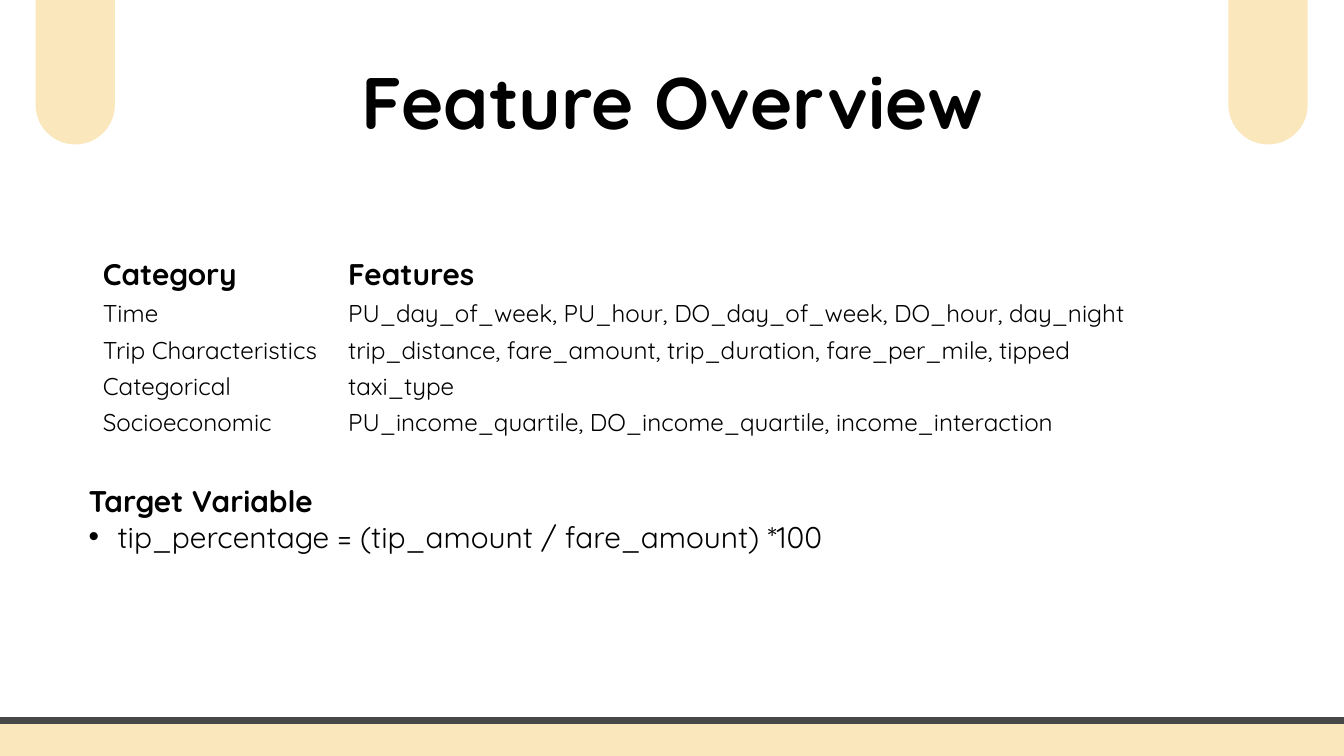
from typing import NamedTuple

from lxml import etree
from pptx import Presentation
from pptx import util as u
from pptx.dml.color import RGBColor
from pptx.enum import shapes, text
from pptx.oxml.ns import qn

BLACK = RGBColor(0x00, 0x00, 0x00)
CREAM = RGBColor(0xFA, 0xE7, 0xBC)
CHARCOAL = RGBColor(0x49, 0x48, 0x48)
FONT = "Quicksand"


class Box(NamedTuple):
    left: float
    top: float
    width: float
    height: float

    def lengths(self) -> list:
        return [u.Inches(value) for value in self]


class FeatureRow(NamedTuple):
    category: str
    features: str


PILLS = [Box(left, -1.08, 1.18, 3.23) for left in (18.28, 0.53)]
FOOTER = Box(-0.58, 10.72, 21.16, 0.9)
HEADER = FeatureRow("Category", "Features")
FEATURE_ROWS = [
    FeatureRow("Time", "PU_day_of_week, PU_hour, DO_day_of_week, DO_hour, day_night"),
    FeatureRow("Trip Characteristics",
               "trip_distance, fare_amount, trip_duration, fare_per_mile, tipped"),
    FeatureRow("Categorical", "taxi_type"),
    FeatureRow("Socioeconomic", "PU_income_quartile, DO_income_quartile, income_interaction"),
]
COLUMN_WIDTHS = (3.65, 12.5)
HEADER_HEIGHT, ROW_HEIGHT = 0.63, 0.54


def add_run(paragraph, words: str, size: float, bold: bool = False) -> None:
    run = paragraph.add_run()
    run.text = words
    run.font.name = FONT
    run.font.size = u.Pt(size)
    run.font.bold = bold
    run.font.color.rgb = BLACK


def add_text_frame(slide, box: Box):
    frame = slide.shapes.add_textbox(*box.lengths()).text_frame
    frame.word_wrap = True
    frame.margin_left = frame.margin_right = 0
    frame.margin_top = frame.margin_bottom = 0
    return frame


def add_block(slide, kind, box: Box):
    shape = slide.shapes.add_shape(kind, *box.lengths())
    shape.shadow.inherit = False
    shape.fill.solid()
    shape.fill.fore_color.rgb = CREAM
    shape.line.fill.background()
    return shape


def add_bullet(paragraph, indent: float) -> None:
    properties = paragraph._p.get_or_add_pPr()
    properties.set("marL", str(u.Inches(indent)))
    properties.set("indent", str(-u.Inches(indent)))
    etree.SubElement(properties, qn("a:buFont"), typeface="Arial")
    etree.SubElement(properties, qn("a:buChar"), char="•")


def add_feature_table(slide, box: Box) -> None:
    rows = [HEADER, *FEATURE_ROWS]
    table = slide.shapes.add_table(len(rows), len(COLUMN_WIDTHS), *box.lengths()).table
    table.first_row = table.horz_banding = False
    for column, width in zip(table.columns, COLUMN_WIDTHS):
        column.width = u.Inches(width)
    for index, (table_row, row) in enumerate(zip(table.rows, rows)):
        is_header = index == 0
        table_row.height = u.Inches(HEADER_HEIGHT if is_header else ROW_HEIGHT)
        for cell, words in zip(table_row.cells, row):
            cell.fill.background()
            cell.vertical_anchor = text.MSO_ANCHOR.MIDDLE
            cell.margin_left = cell.margin_right = u.Inches(0.1)
            cell.margin_top = cell.margin_bottom = u.Inches(0.02)
            add_run(cell.text_frame.paragraphs[0], words, 32 if is_header else 26, is_header)


def main() -> None:
    presentation = Presentation()
    presentation.slide_width = u.Inches(20)
    presentation.slide_height = u.Inches(11.25)
    slide = presentation.slides.add_slide(presentation.slide_layouts[6])

    # Title
    title = add_text_frame(slide, Box(1.83, 0.85, 16.36, 1.31)).paragraphs[0]
    title.alignment = text.PP_ALIGN.CENTER
    add_run(title, "Feature Overview", 78, True)

    # Hanging pills and footer band
    for pill in PILLS:
        add_block(slide, shapes.MSO_SHAPE.ROUNDED_RECTANGLE, pill).adjustments[0] = 0.5
    footer = add_block(slide, shapes.MSO_SHAPE.RECTANGLE, FOOTER)
    footer.line.color.rgb = CHARCOAL
    footer.line.width = u.Pt(6.75)

    # Features by category
    add_feature_table(slide, Box(1.43, 3.77, sum(COLUMN_WIDTHS),
                                 HEADER_HEIGHT + ROW_HEIGHT * len(FEATURE_ROWS)))

    # Target variable
    target = add_text_frame(slide, Box(1.32, 7.18, 16.36, 1.68))
    add_run(target.paragraphs[0], "Target Variable", 32, True)
    formula = target.add_paragraph()
    add_bullet(formula, 0.43)
    add_run(formula, "tip_percentage = (tip_amount / fare_amount) *100", 32)

    presentation.save("out.pptx")


if __name__ == "__main__":
    main()
